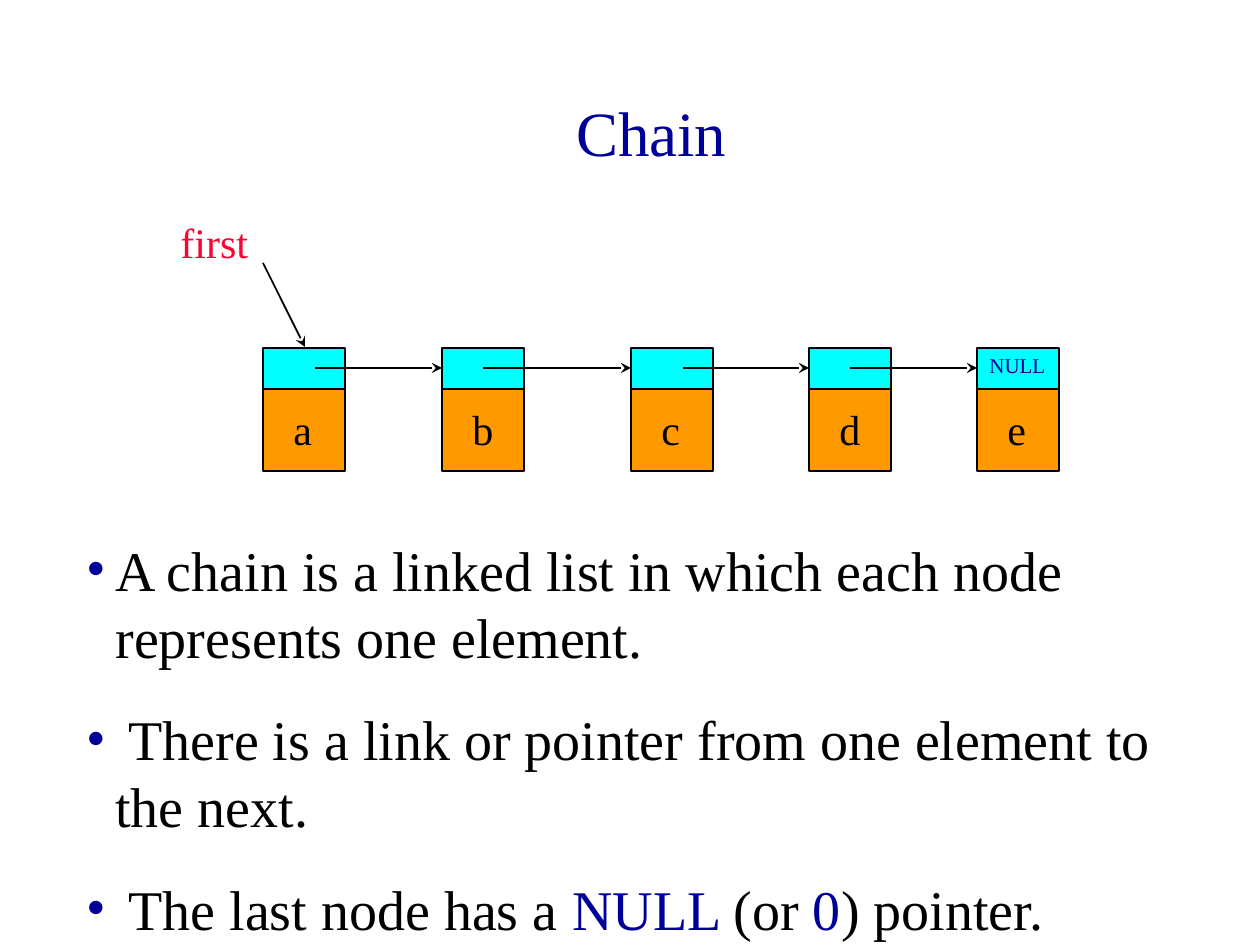
from lxml import etree
from pptx import Presentation
from pptx.dml.color import RGBColor
from pptx.enum.shapes import MSO_CONNECTOR, MSO_SHAPE
from pptx.enum.text import MSO_ANCHOR, PP_ALIGN
from pptx.oxml.ns import qn
from pptx.util import Pt

STRAIGHT = MSO_CONNECTOR.STRAIGHT
RECTANGLE = MSO_SHAPE.RECTANGLE
TOP, MIDDLE = MSO_ANCHOR.TOP, MSO_ANCHOR.MIDDLE
LEFT, CENTER = PP_ALIGN.LEFT, PP_ALIGN.CENTER

NAVY = RGBColor(0x00, 0x00, 0x99)
BLACK = RGBColor(0x00, 0x00, 0x00)
ORANGE = RGBColor(0xFF, 0x99, 0x00)
CYAN = RGBColor(0x00, 0xFF, 0xFF)
RED = RGBColor(0xFF, 0x00, 0x33)
FONT = "Times New Roman"

TITLE = "Chain"
NODES = [("a", 263), ("b", 442), ("c", 631), ("d", 809), ("e", 977)]
LINK_STARTS = [315, 483, 683, 850]
BULLETS = [
    [("A chain is a linked list in which each node represents one element.", BLACK)],
    [(" There is a link or pointer from one element to the next.", BLACK)],
    [(" The last node has a ", BLACK), ("NULL ", NAVY), ("(or", BLACK),
     (" 0", NAVY), (") pointer.", BLACK)],
]

NODE_SIZE = 82
LINK_HEIGHT = 41
LINK_TOP = 348
DATA_TOP = LINK_TOP + LINK_HEIGHT
ARROW_Y = 368
HANGING = 29


def px(length):
    return round(length * 914400 / 126)


def add_bullet(paragraph):
    properties = paragraph._p.get_or_add_pPr()
    properties.set("marL", str(px(HANGING)))
    properties.set("indent", str(-px(HANGING)))
    color = etree.SubElement(properties, qn("a:buClr"))
    etree.SubElement(color, qn("a:srgbClr")).set("val", str(NAVY))
    etree.SubElement(properties, qn("a:buFont")).set("typeface", FONT)
    etree.SubElement(properties, qn("a:buChar")).set("char", "•")


def add_text(slide, box, paragraphs, size, align=LEFT, anchor=TOP, wrap=True,
             bullets=False, space=0):
    shape = slide.shapes.add_textbox(*map(px, box))
    frame = shape.text_frame
    frame.word_wrap = wrap
    frame.vertical_anchor = anchor
    for index, runs in enumerate(paragraphs):
        paragraph = frame.add_paragraph() if index else frame.paragraphs[0]
        if bullets:
            add_bullet(paragraph)
        paragraph.alignment = align
        if index:
            paragraph.space_before = Pt(space)
        for text, color in runs:
            run = paragraph.add_run()
            run.text = text
            run.font.name = FONT
            run.font.size = Pt(size)
            run.font.color.rgb = color


def add_box(slide, box, fill):
    shape = slide.shapes.add_shape(RECTANGLE, *map(px, box))
    shape.shadow.inherit = False
    shape.fill.solid()
    shape.fill.fore_color.rgb = fill
    shape.line.color.rgb = BLACK
    shape.line.width = Pt(1)


def add_arrow(slide, start, end):
    connector = slide.shapes.add_connector(STRAIGHT, *map(px, start + end))
    connector.line.color.rgb = BLACK
    connector.line.width = Pt(1)
    line = connector.line._get_or_add_ln()
    etree.SubElement(line, qn("a:tailEnd")).set("type", "stealth")
    etree.SubElement(connector._element.spPr, qn("a:effectLst"))


def main():
    presentation = Presentation()
    presentation.slide_width = px(1260)
    presentation.slide_height = px(945)
    slide = presentation.slides.add_slide(presentation.slide_layouts[6])

    add_text(slide, (116, 52, 1071, 158), [[(TITLE, NAVY)]], 36,
             align=CENTER, anchor=MIDDLE)
    add_text(slide, (74, 529, 1155, 416), BULLETS, 32, bullets=True, space=20)

    for label, left in NODES:
        add_box(slide, (left, DATA_TOP, NODE_SIZE, NODE_SIZE), ORANGE)
        add_box(slide, (left, LINK_TOP, NODE_SIZE, LINK_HEIGHT), CYAN)
        add_text(slide, (left + 18, 397, 45, 63), [[(label, BLACK)]], 24, wrap=False)

    for start, (_, end) in zip(LINK_STARTS, NODES[1:]):
        add_arrow(slide, (start, ARROW_Y), (end, ARROW_Y))

    add_text(slide, (NODES[-1][1], 346, 84, 38), [[("NULL", NAVY)]], 12)
    add_text(slide, (168, 210, 231, 63), [[("first", RED)]], 24)
    add_arrow(slide, (263, 263), (305, 347))
    presentation.save("out.pptx")


if __name__ == "__main__":
    main()
